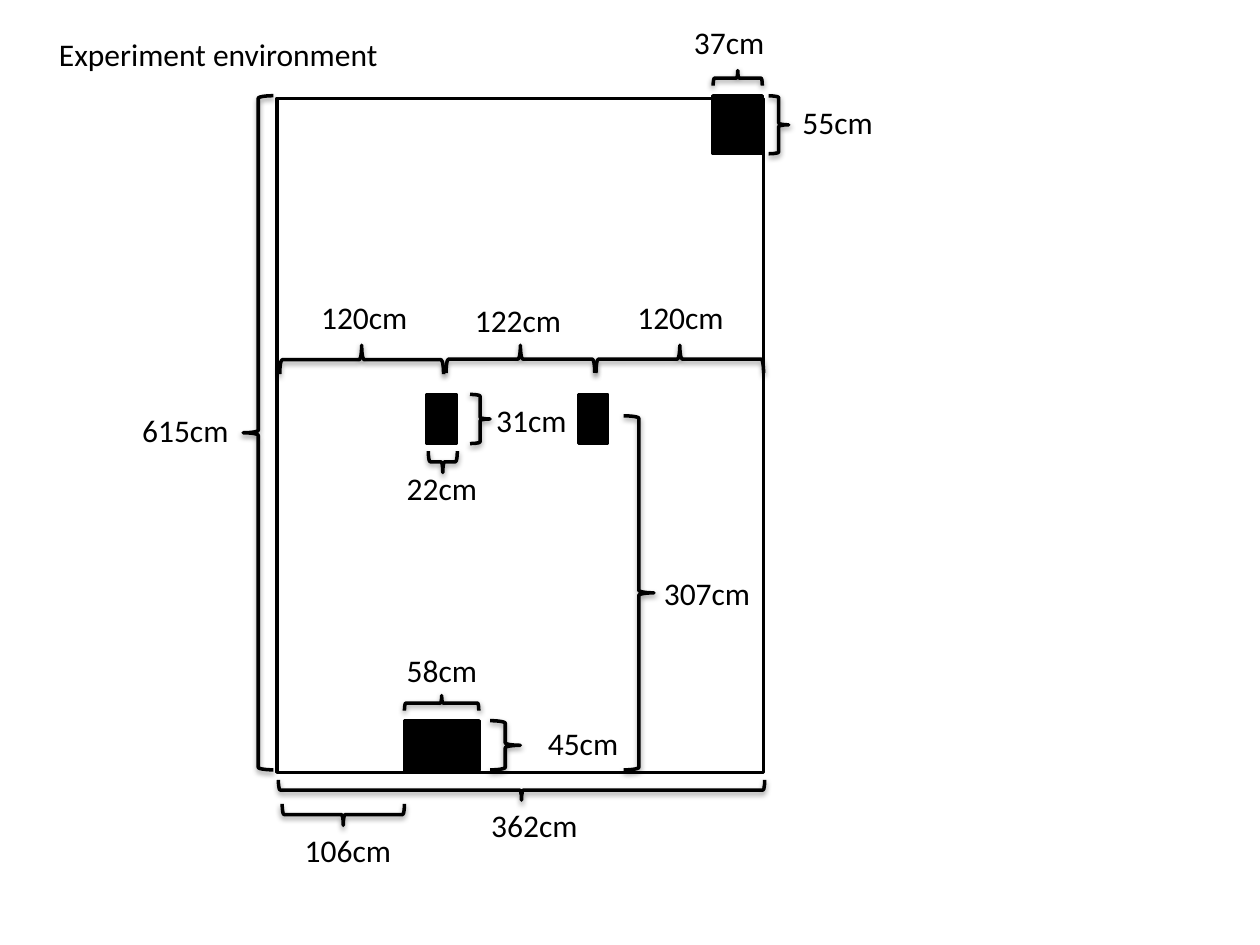
from lxml import etree
from pptx import Presentation, util as u
from pptx.dml.color import RGBColor
from pptx.enum import shapes, text
from pptx.oxml.ns import qn

BLACK = RGBColor(0, 0, 0)
WHITE = RGBColor(255, 255, 255)
LEFT, UP, RIGHT, DOWN = 0, 90, 180, 270

prs = Presentation()
prs.slide_width, prs.slide_height = u.Inches(10), u.Inches(7.5)
s = prs.slides.add_slide(prs.slide_layouts[6])


def outline(kind, x, y, w, h, fill=None):
    sp = s.shapes.add_shape(kind, *map(u.Inches, (x, y, w, h)))
    sp.shadow.inherit = False
    if fill is None:
        sp.fill.background()
    else:
        sp.fill.solid()
        sp.fill.fore_color.rgb = fill
    sp.line.color.rgb = BLACK
    sp.line.width = u.Pt(2)
    return sp


def label(words, x, y, w):
    tf = s.shapes.add_textbox(*map(u.Inches, (x, y, w, 0.4))).text_frame
    tf.word_wrap = False
    tf.auto_size = text.MSO_AUTO_SIZE.SHAPE_TO_FIT_TEXT
    p = tf.paragraphs[0]
    p.text = words
    p.font.name, p.font.size, p.font.color.rgb = "Calibri", u.Pt(18), BLACK


# Room, then corner block, bottom block and the two middle blocks
for x, y, w, h, fill in [
    (2.2, 0.78, 3.86, 5.35, WHITE),
    (5.66, 0.76, 0.39, 0.46, BLACK),
    (3.21, 5.72, 0.59, 0.39, BLACK),
    (3.39, 3.13, 0.23, 0.39, BLACK),
    (4.59, 3.13, 0.23, 0.39, BLACK),
]:
    outline(shapes.MSO_SHAPE.RECTANGLE, x, y, w, h, fill)

# Dimensions: cm, brace area as seen, tip direction, label corner
for cm, x, y, w, h, tip, tx, ty in [
    (615, 1.93, 0.76, 0.24, 5.35, LEFT, 1.03, 3.21),
    (362, 2.21, 6.19, 3.86, 0.16, DOWN, 3.8, 6.35),
    (58, 3.21, 5.52, 0.59, 0.12, UP, 3.13, 5.12),
    (106, 2.24, 6.38, 0.97, 0.17, DOWN, 2.32, 6.55),
    (45, 3.89, 5.72, 0.24, 0.39, RIGHT, 4.25, 5.7),
    (55, 6.1, 0.76, 0.16, 0.46, RIGHT, 6.27, 0.77),
    (37, 5.66, 0.56, 0.39, 0.12, UP, 5.41, 0.13),
    (22, 3.4, 3.58, 0.23, 0.17, DOWN, 3.13, 3.67),
    (31, 3.73, 3.13, 0.16, 0.39, RIGHT, 3.84, 3.13),
    (120, 2.22, 2.74, 1.3, 0.23, UP, 2.45, 2.32),
    (122, 3.54, 2.74, 1.18, 0.22, UP, 3.67, 2.34),
    (120, 4.73, 2.74, 1.33, 0.22, UP, 4.96, 2.32),
    (307, 4.95, 3.3, 0.24, 2.81, RIGHT, 5.17, 4.51),
]:
    if tip in (UP, DOWN):  # a turned brace swaps its sides about its centre
        x, y, w, h = x + (w - h) / 2, y + (h - w) / 2, h, w
    sp = outline(shapes.MSO_SHAPE.LEFT_BRACE, x, y, w, h)
    sp.rotation = tip
    # Soft shadow below the brace
    effects = sp._element.spPr.find(qn("a:effectLst"))
    shadow = etree.SubElement(effects, qn("a:outerShdw"), blurRad="40000",
                              dist="20000", dir="5400000", rotWithShape="0")
    color = etree.SubElement(shadow, qn("a:srgbClr"), val="000000")
    etree.SubElement(color, qn("a:alpha"), val="38000")
    label(f"{cm}cm", tx, ty, 0.89 if cm > 99 else 0.77)

# Title
label("Experiment environment", 0.37, 0.23, 2.76)

prs.save("out.pptx")
